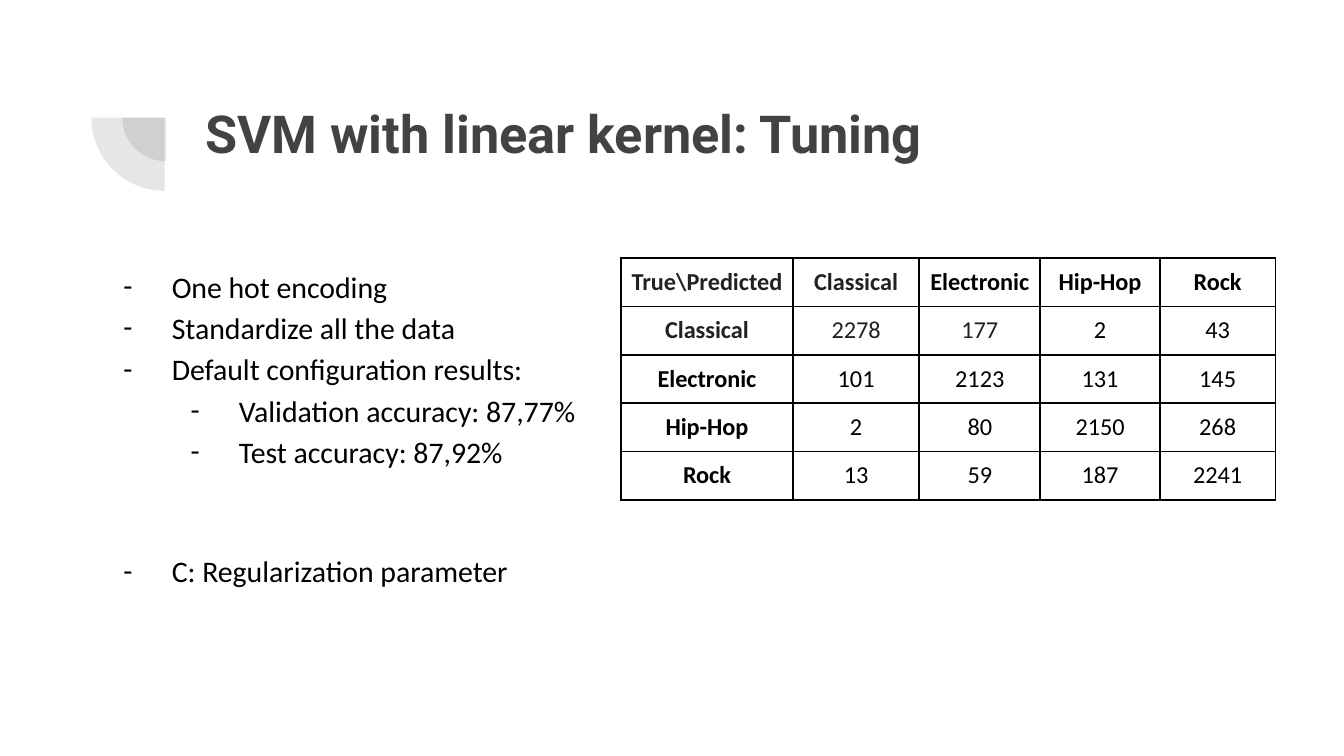
"""Build the slide on tuning an SVM with a linear kernel."""
from lxml import etree
from pptx import Presentation
from pptx.dml import color
from pptx.enum import shapes, text
from pptx.oxml import ns
from pptx.util import Inches, Pt

GREY = color.RGBColor(0x42, 0x42, 0x42)
DARK = color.RGBColor(0x21, 0x21, 0x21)
BLACK = color.RGBColor(0, 0, 0)


def add(parent, tag, **attrs):
    return etree.SubElement(parent, ns.qn(tag), **attrs)


def write(p, words, rgb, fmt):
    r = p.add_run()
    r.text = words
    r.font.color.rgb = rgb
    for name, value in fmt.items():
        setattr(r.font, name, value)


prs = Presentation()
prs.slide_width, prs.slide_height = Inches(10), Inches(10 * 9 / 16)
s = prs.slides.add_slide(prs.slide_layouts[6])

for left, top, size in [(0.91, 0.55, 0.65), (0.68, 0.33, 1.09)]:
    sp = s.shapes.add_shape(shapes.MSO_SHAPE.PIE, Inches(left), Inches(top),
                            Inches(size), Inches(size))
    sp.adjustments[0], sp.adjustments[1] = 108, 162
    sp.rotation = 270
    sp.shadow.inherit = False
    sp.line.fill.background()
    sp.fill.solid()
    sp.fill.fore_color.rgb = GREY
    clr = sp.fill._xPr.find(".//" + ns.qn("a:srgbClr"))
    add(clr, "a:alpha", val="13000")

boxes = []
for left, top, width, height in [(1.43, 0.65, 7.69, 1.09), (0.68, 1.86, 8.64, 3.37)]:
    sp = s.shapes.add_textbox(Inches(left), Inches(top), Inches(width), Inches(height))
    tf = sp.text_frame
    tf.word_wrap = True
    for side in ("left", "top", "right", "bottom"):
        setattr(tf, f"margin_{side}", Inches(0.1))
    boxes.append(tf)
title, body = boxes

write(title.paragraphs[0], "SVM with linear kernel: Tuning", GREY,
      {"name": "Roboto", "size": Pt(28), "bold": True})

items = [
    ("One hot encoding", 0, 10),
    ("Standardize all the data", 0, 0),
    ("Default configuration results:", 0, 0),
    ("Validation accuracy: 87,77%", 1, 0),
    ("Test accuracy: 87,92%", 1, 0),
    ("C: Regularization parameter", 0, 42),
]
for i, (words, level, before) in enumerate(items):
    p = body.add_paragraph() if i else body.paragraphs[0]
    fmt = {"alignment": text.PP_ALIGN.JUSTIFY, "level": level,
           "line_spacing": 1.15, "space_before": Pt(before)}
    for name, value in fmt.items():
        setattr(p, name, value)
    pPr = p._p.get_or_add_pPr()
    pPr.set("marL", str(Inches(0.5 * (level + 1))))
    pPr.set("indent", str(Inches(-0.36)))
    add(add(pPr, "a:buClr"), "a:srgbClr", val=str(BLACK))
    add(pPr, "a:buFont", typeface="Calibri")
    add(pPr, "a:buChar", char="-")
    write(p, words, BLACK, {"name": "Calibri", "size": Pt(16)})

genres = ["Classical", "Electronic", "Hip-Hop", "Rock"]
counts = [
    [2278, 177, 2, 43],
    [101, 2123, 131, 145],
    [2, 80, 2150, 268],
    [13, 59, 187, 2241],
]
rows = [["True\\Predicted"] + genres]
rows += [[genre] + line for genre, line in zip(genres, counts)]
widths = [1.28, 0.94, 0.9, 0.89, 0.86]
dark_cells = {(0, 0), (0, 1), (1, 0), (1, 1), (1, 2)}

table = s.shapes.add_table(5, 5, Inches(4.62), Inches(1.92),
                           Inches(sum(widths)), Inches(1.8)).table
table.first_row = table.horz_banding = False
for col, width in zip(table.columns, widths):
    col.width = Inches(width)
for i, values in enumerate(rows):
    table.rows[i].height = Inches(0.36)
    for j, value in enumerate(values):
        cell = table.cell(i, j)
        for side in ("left", "top", "right", "bottom"):
            setattr(cell, f"margin_{side}", Inches(0.07))
        tcPr = cell._tc.get_or_add_tcPr()
        for tag in ("a:lnL", "a:lnR", "a:lnT", "a:lnB"):
            ln = add(tcPr, tag, w=str(Pt(1)))
            add(add(ln, "a:solidFill"), "a:srgbClr", val=str(BLACK))
        cell.fill.background()
        p = cell.text_frame.paragraphs[0]
        p.alignment = text.PP_ALIGN.CENTER
        write(p, str(value), DARK if (i, j) in dark_cells else BLACK,
              {"name": "Calibri", "size": Pt(13), "bold": i == 0 or j == 0})

prs.save("out.pptx")
